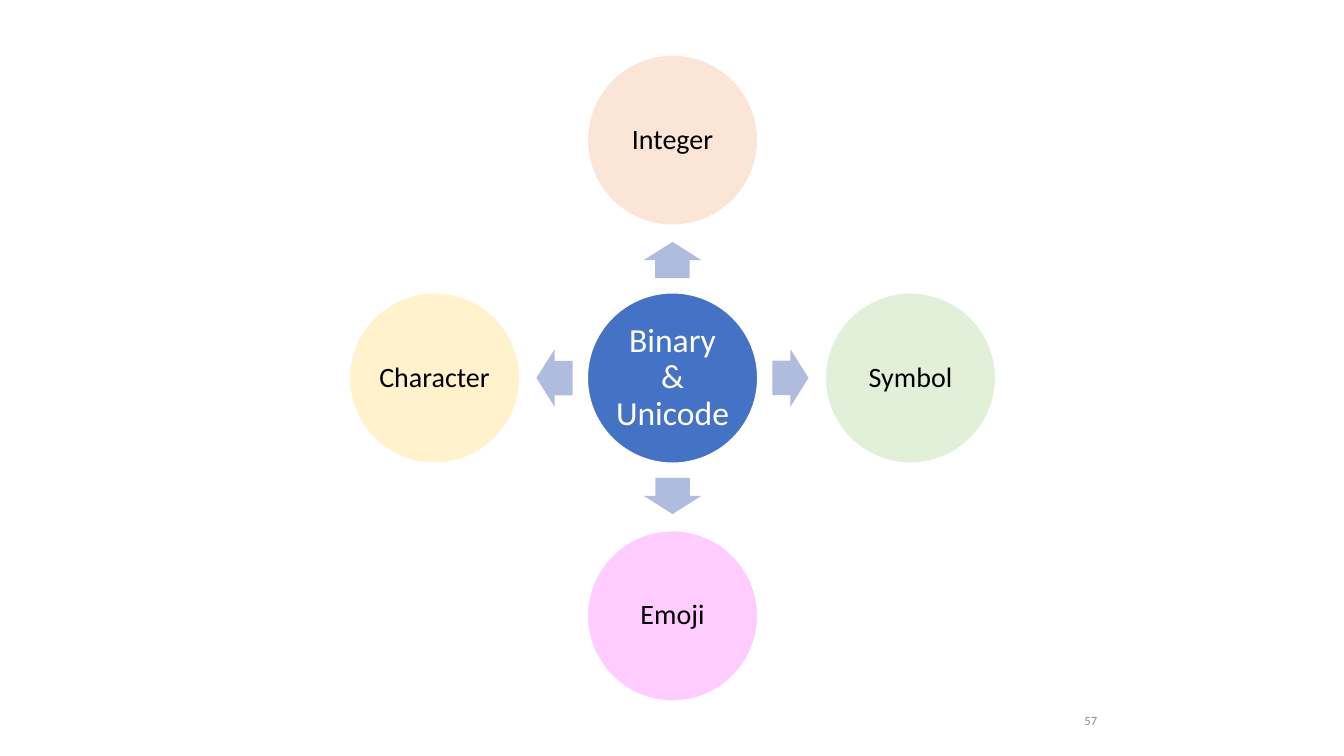
from math import cos, radians, sin

from pptx import Presentation
from pptx.dml.color import RGBColor
from pptx.enum.shapes import MSO_SHAPE
from pptx.enum.text import MSO_ANCHOR, PP_ALIGN
from pptx.util import Inches, Pt

WHITE = RGBColor(0xFF, 0xFF, 0xFF)
BLACK = RGBColor(0x00, 0x00, 0x00)
GRAY = RGBColor(0x8C, 0x8C, 0x8C)
BLUE = RGBColor(0x44, 0x72, 0xC4)
ARROW_BLUE = RGBColor(0xB0, 0xBC, 0xDE)
PEACH = RGBColor(0xFB, 0xE5, 0xD6)
GREEN = RGBColor(0xE2, 0xF0, 0xD9)
PINK = RGBColor(0xFF, 0xCC, 0xFF)
YELLOW = RGBColor(0xFF, 0xF2, 0xCC)

CENTER_X, CENTER_Y = 6.67, 3.75
DIAMETER = 1.69
CIRCLE_DISTANCE, ARROW_DISTANCE = 2.36, 1.17
ARROW_LENGTH, ARROW_WIDTH = 0.36, 0.57


def write_text(shape, text, size, color, align=PP_ALIGN.CENTER, inset=0.03, spacing=0.9):
    frame = shape.text_frame
    frame.word_wrap = True
    frame.vertical_anchor = MSO_ANCHOR.MIDDLE
    frame.margin_left = frame.margin_right = Inches(inset)
    frame.margin_top = frame.margin_bottom = Inches(0.03)
    paragraph = frame.paragraphs[0]
    paragraph.alignment = align
    paragraph.line_spacing = spacing
    run = paragraph.add_run()
    run.text = text
    run.font.name = "Calibri"
    run.font.size = Pt(size)
    run.font.color.rgb = color


def add_centered(kind, x, y, width, height, fill):
    shape = slide.shapes.add_shape(kind, Inches(x - width / 2), Inches(y - height / 2),
                                   Inches(width), Inches(height))
    shape.shadow.inherit = False
    shape.fill.solid()
    shape.fill.fore_color.rgb = fill
    return shape


presentation = Presentation()
presentation.slide_width = Inches(13.33)
presentation.slide_height = Inches(7.5)
slide = presentation.slides.add_slide(presentation.slide_layouts[6])

# Slide number
number_box = slide.shapes.add_textbox(Inches(8.73), Inches(6.95), Inches(2.25), Inches(0.4))
write_text(number_box, "57", 9, GRAY, align=PP_ALIGN.RIGHT, inset=0.1, spacing=1.0)

# Circles: text, angle (None for the hub), fill, text size, text colour
circles = [
    ("Binary & Unicode", None, BLUE, 24, WHITE),
    ("Integer", 270, PEACH, 20, BLACK),
    ("Symbol", 0, GREEN, 20, BLACK),
    ("Emoji", 90, PINK, 20, BLACK),
    ("Character", 180, YELLOW, 20, BLACK),
]
for text, angle, fill, size, color in circles:
    x, y = CENTER_X, CENTER_Y
    if angle is not None:
        # Arrow from the hub towards this circle
        across, down = cos(radians(angle)), sin(radians(angle))
        arrow = add_centered(MSO_SHAPE.RIGHT_ARROW, x + ARROW_DISTANCE * across,
                             y + ARROW_DISTANCE * down, ARROW_LENGTH, ARROW_WIDTH, ARROW_BLUE)
        arrow.rotation = angle
        arrow.adjustments[0] = 0.6
        arrow.adjustments[1] = 0.5
        arrow.line.fill.background()
        x += CIRCLE_DISTANCE * across
        y += CIRCLE_DISTANCE * down
    circle = add_centered(MSO_SHAPE.OVAL, x, y, DIAMETER, DIAMETER, fill)
    circle.line.color.rgb = WHITE
    circle.line.width = Pt(1)
    write_text(circle, text, size, color)

presentation.save("out.pptx")
